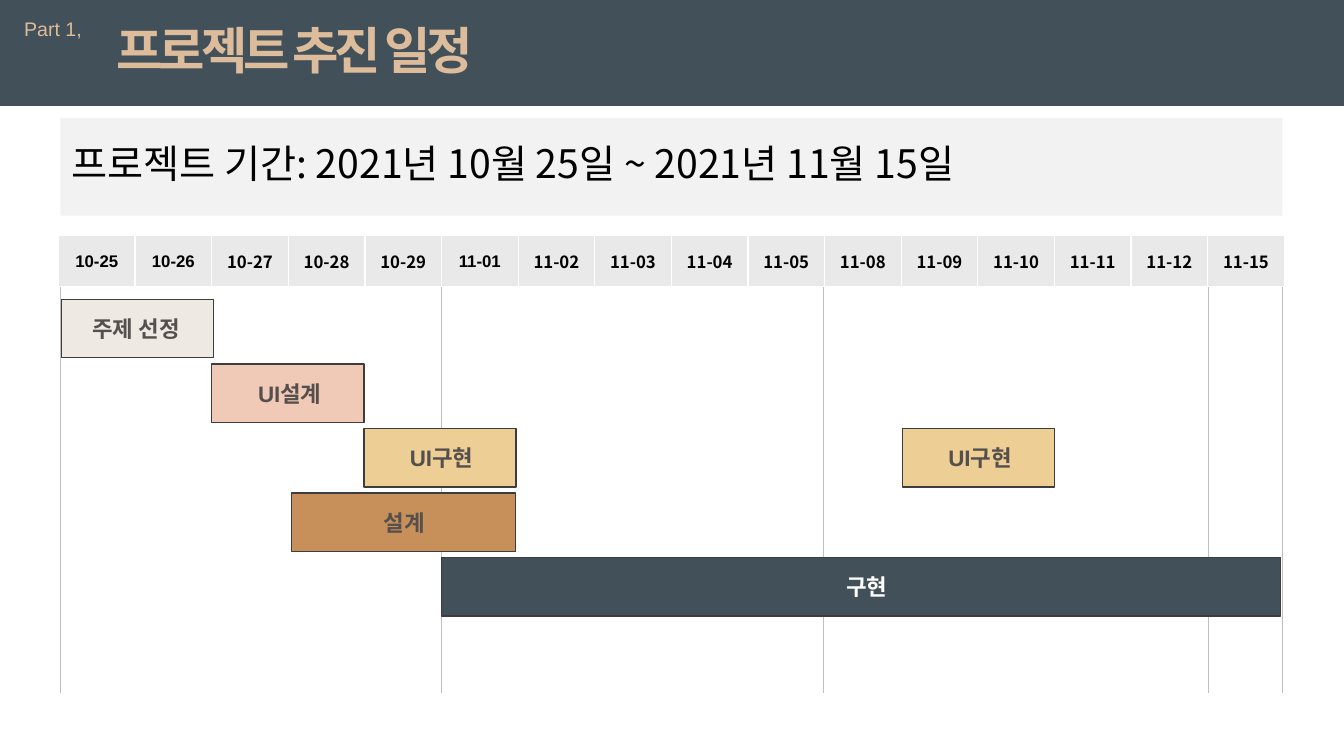
from dataclasses import dataclass

from lxml.etree import SubElement
from pptx import Presentation
from pptx.dml.color import RGBColor
from pptx.enum.shapes import MSO_CONNECTOR as Connector, MSO_SHAPE as Preset
from pptx.enum.text import MSO_ANCHOR as Anchor, MSO_AUTO_SIZE as AutoSize, PP_ALIGN as Align
from pptx.oxml.ns import qn
from pptx.slide import Slide
from pptx.table import _Cell as Cell
from pptx.text.text import _Paragraph as Paragraph
from pptx.util import Emu, Pt

PX = 9144
LATIN = "Arial"
KOREAN = "Noto Sans CJK KR"
COLORS = {
    "slate": "425059",
    "sand": "DDBC9C",
    "rule": "BFBFBF",
    "outline": "3D3D3D",
    "label": "554F4D",
    "panel": "F2F2F2",
    "date": "E9E9EA",
    "ivory": "EEE9E2",
    "peach": "F0CAB6",
    "yellow": "EDCE95",
    "ochre": "C7905A",
    "white": "FFFFFF",
    "black": "000000",
}


@dataclass(frozen=True)
class Box:
    left: int
    top: int
    width: int
    height: int

    def emu(self) -> tuple[Emu, ...]:
        return tuple(px(n) for n in (self.left, self.top, self.width, self.height))


@dataclass(frozen=True)
class Style:
    size: int
    color: str
    bold: bool = False
    font: str = LATIN
    spacing: int = 0
    align: Align = Align.LEFT


@dataclass(frozen=True)
class Caption:
    text: str
    box: Box
    style: Style
    wrap: bool = True


@dataclass(frozen=True)
class Task:
    name: str
    row: int
    left: int
    width: int
    label_left: int
    label_width: int
    fill: str
    ink: str = "label"


BANNER = Box(0, 0, 1333, 105)
PERIOD_PANEL = Box(60, 117, 1212, 97)
CAPTIONS = [
    Caption("프로젝트 추진 일정", Box(106, 14, 450, 71),
            Style(36, "sand", bold=True, spacing=-300)),
    Caption("Part 1,", Box(14, 12, 78, 34), Style(14, "sand"), wrap=False),
    Caption("프로젝트 기간: 2021년 10월 25일 ~ 2021년 11월 15일",
            Box(61, 133, 1209, 104), Style(28, "black", font=KOREAN)),
]

WEEK_LINES = [60, 438, 817, 1198, 1272]
LINE_TOP, LINE_BOTTOM = 244, 688
FIRST_BAR_TOP, BAR_STEP, BAR_HEIGHT = 297, 64, 58
LABEL_OFFSET, LABEL_HEIGHT = 11, 37
TASKS = [
    Task("주제 선정", 0, 61, 151, 73, 124, "ivory"),
    Task("UI설계", 1, 210, 151, 227, 121, "peach"),
    Task("UI구현", 2, 361, 151, 383, 110, "yellow"),
    Task("설계", 3, 289, 222, 352, 98, "ochre"),
    Task("구현", 4, 438, 832, 827, 65, "slate", "white"),
    Task("UI구현", 2, 895, 151, 917, 110, "yellow"),
]

DATES = ["10-25", "10-26", "10-27", "10-28", "10-29",
         "11-01", "11-02", "11-03", "11-04", "11-05",
         "11-08", "11-09", "11-10", "11-11", "11-12", "11-15"]
LATIN_DATES = {"10-25", "10-26", "11-01"}
DATE_LEFT, DATE_TOP, DATE_WIDTH, DATE_HEIGHT = 58, 234, 76, 50


def px(length: int) -> Emu:
    return Emu(length * PX)


def rgb(name: str) -> RGBColor:
    return RGBColor.from_string(COLORS[name])


def add_text(paragraph: Paragraph, text: str, style: Style) -> None:
    paragraph.alignment = style.align
    run = paragraph.add_run()
    run.text = text
    run.font.size = Pt(style.size)
    run.font.bold = style.bold
    run.font.color.rgb = rgb(style.color)
    run.font.name = style.font
    properties = run.font._element
    SubElement(properties, qn("a:ea")).set("typeface", KOREAN)
    if style.spacing:
        properties.set("spc", str(style.spacing))


def add_caption(slide: Slide, caption: Caption) -> None:
    frame = slide.shapes.add_textbox(*caption.box.emu()).text_frame
    frame.word_wrap = caption.wrap
    frame.auto_size = AutoSize.SHAPE_TO_FIT_TEXT
    add_text(frame.paragraphs[0], caption.text, caption.style)


def add_block(slide: Slide, box: Box, fill: str, outline: str | None = None) -> None:
    block = slide.shapes.add_shape(Preset.RECTANGLE, *box.emu())
    block.shadow.inherit = False
    block.fill.solid()
    block.fill.fore_color.rgb = rgb(fill)
    if outline:
        block.line.color.rgb = rgb(outline)
        block.line.width = Pt(1)
    else:
        block.line.fill.background()


def add_week_line(slide: Slide, x: int) -> None:
    week = slide.shapes.add_connector(
        Connector.STRAIGHT, px(x), px(LINE_TOP), px(x), px(LINE_BOTTOM))
    week.line.color.rgb = rgb("rule")
    week.line.width = Pt(0.5)
    SubElement(week._element.spPr, qn("a:effectLst"))


def add_task(slide: Slide, task: Task) -> None:
    top = FIRST_BAR_TOP + task.row * BAR_STEP
    add_block(slide, Box(task.left, top, task.width, BAR_HEIGHT), task.fill, "outline")
    label = Box(task.label_left, top + LABEL_OFFSET, task.label_width, LABEL_HEIGHT)
    style = Style(16, task.ink, bold=True, align=Align.CENTER)
    add_caption(slide, Caption(task.name, label, style))


def add_borders(cell: Cell) -> None:
    properties = cell._tc.get_or_add_tcPr()
    for index, side in enumerate(("lnL", "lnR", "lnT", "lnB")):
        border = properties.makeelement(qn(f"a:{side}"), {"w": str(Pt(1))})
        fill = SubElement(border, qn("a:solidFill"))
        SubElement(fill, qn("a:srgbClr")).set("val", COLORS["white"])
        properties.insert(index, border)


def add_dates(slide: Slide) -> None:
    box = Box(DATE_LEFT, DATE_TOP, DATE_WIDTH * len(DATES), DATE_HEIGHT)
    calendar = slide.shapes.add_table(1, len(DATES), *box.emu()).table
    calendar.first_row = calendar.horz_banding = False
    for column, date in enumerate(DATES):
        calendar.columns[column].width = px(DATE_WIDTH)
        cell = calendar.cell(0, column)
        cell.fill.solid()
        cell.fill.fore_color.rgb = rgb("date")
        cell.vertical_anchor = Anchor.MIDDLE
        cell.margin_left = cell.margin_right = cell.margin_top = px(1)
        cell.margin_bottom = 0
        add_borders(cell)
        font = LATIN if date in LATIN_DATES else KOREAN
        add_text(cell.text_frame.paragraphs[0], date,
                 Style(12, "black", bold=True, font=font, align=Align.CENTER))


def main() -> None:
    deck = Presentation()
    deck.slide_width, deck.slide_height = px(1333), px(750)
    slide = deck.slides.add_slide(deck.slide_layouts[6])
    add_block(slide, BANNER, "slate")
    add_block(slide, PERIOD_PANEL, "panel")
    for caption in CAPTIONS:
        add_caption(slide, caption)
    for x in WEEK_LINES:
        add_week_line(slide, x)
    for task in TASKS:
        add_task(slide, task)
    add_dates(slide)
    deck.save("out.pptx")


if __name__ == "__main__":
    main()
